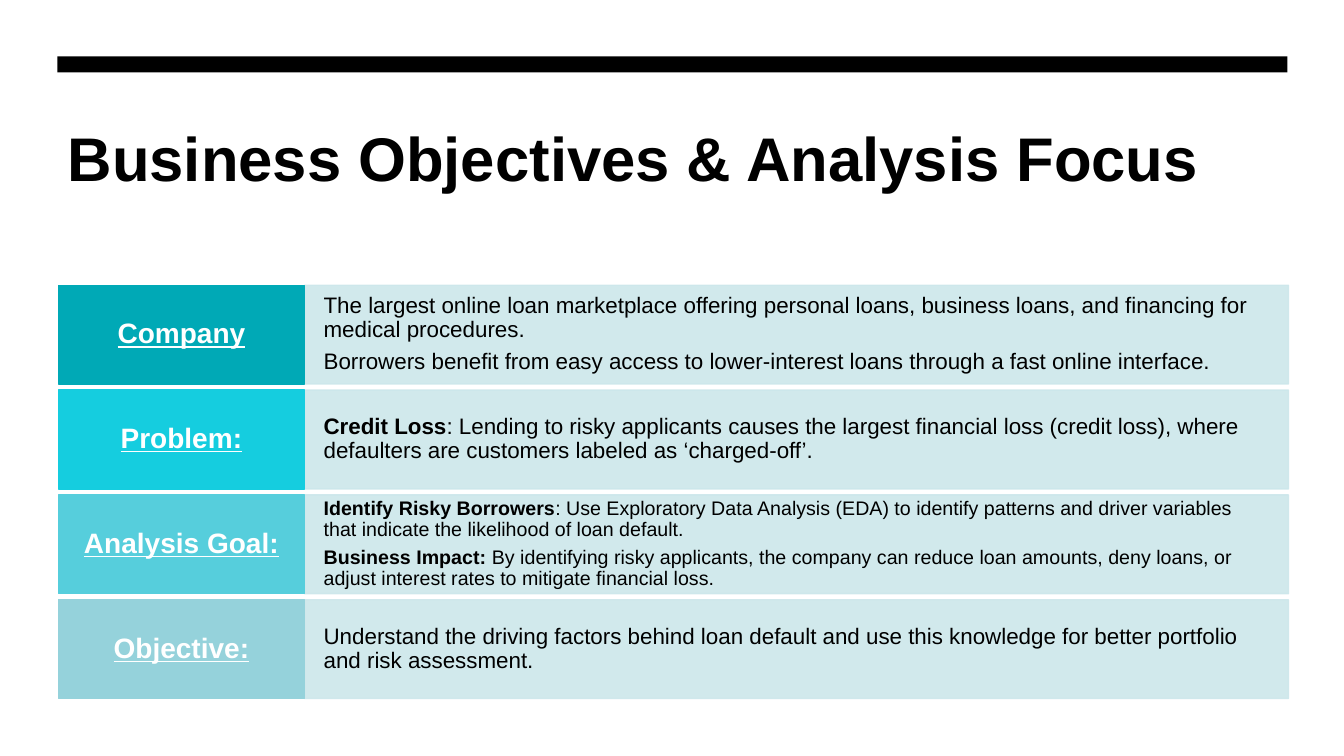
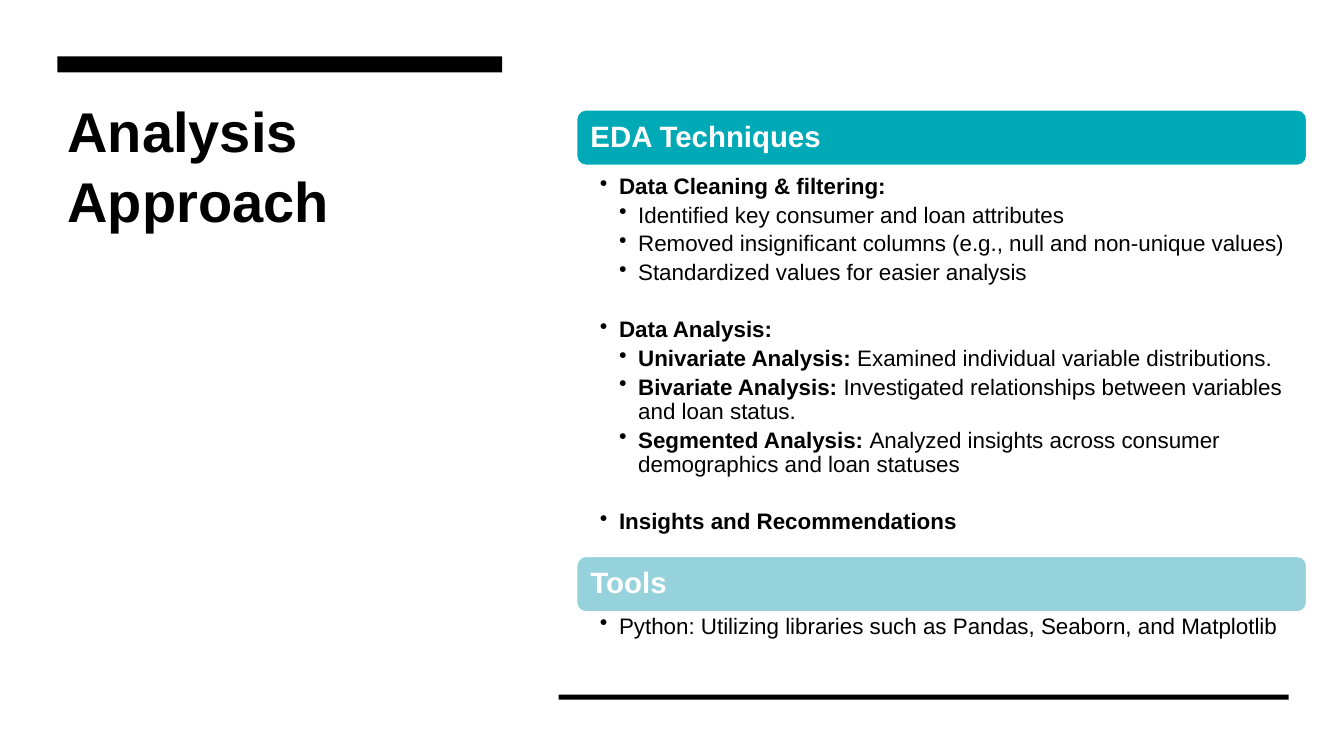
from pptx import Presentation
from pptx.dml.color import RGBColor
from pptx.enum.shapes import MSO_SHAPE
from pptx.enum.text import MSO_ANCHOR, MSO_AUTO_SIZE, PP_ALIGN
from pptx.oxml.ns import qn
from pptx.util import Inches, Pt
from lxml import etree

RECT = MSO_SHAPE.RECTANGLE
ROUND = MSO_SHAPE.ROUNDED_RECTANGLE
TOP = MSO_ANCHOR.TOP
MIDDLE = MSO_ANCHOR.MIDDLE
LEFT = PP_ALIGN.LEFT
CENTER = PP_ALIGN.CENTER
NO_FIT = MSO_AUTO_SIZE.NONE

BLACK = RGBColor(0x00, 0x00, 0x00)
WHITE = RGBColor(0xFF, 0xFF, 0xFF)
TEAL = RGBColor(0x00, 0xA9, 0xB6)
CYAN = RGBColor(0x15, 0xCD, 0xDF)
AQUA = RGBColor(0x56, 0xCE, 0xDC)
MIST = RGBColor(0x95, 0xD2, 0xDB)
PALE = RGBColor(0xCC, 0xE7, 0xEB)

FONT = "Arial"
EDGE = 0.57
INDENT = 0.19


def write(frame, text, size=16, color=BLACK, bold=False, line=False,
          align=LEFT, pitch=0.9, after=0.35, before=0, level=0):
    para = frame.add_paragraph() if frame.text else frame.paragraphs[0]
    para.alignment = align
    para.line_spacing = pitch
    para.space_before = Pt(before)
    para.space_after = Pt(round(size * after, 1))
    for i, part in enumerate(text.split("**")):
        if part:
            run = para.add_run()
            run.text = part
            font = run.font
            font.name, font.size, font.color.rgb = FONT, Pt(size), color
            font.bold = bold or i % 2 == 1
            font.underline = line
    if level:
        props = para._p.get_or_add_pPr()
        props.set("marL", str(Inches(INDENT * level)))
        props.set("indent", str(-Inches(INDENT)))
        props.set("lvl", str(level))
        etree.SubElement(props, qn("a:buChar")).set("char", "•")


class Deck:
    def __init__(self):
        self.file = Presentation()
        self.file.slide_width = Inches(13.33)
        self.file.slide_height = Inches(7.5)
        self.slide = None

    def start(self, title, box, size, width):
        self.slide = self.file.slides.add_slide(self.file.slide_layouts[5])
        shape = self.slide.shapes.title
        shape.left, shape.top, shape.width, shape.height = map(Inches, box)
        frame = self.frame(shape, (0.1, 0.08, 0.1, 0.05), TOP)
        write(frame, title, size, bold=True, pitch=1.05, after=0)
        self.block((EDGE, 0.56, width, 0.16), BLACK)

    def frame(self, shape, pads, anchor):
        frame = shape.text_frame
        frame.word_wrap = True
        frame.auto_size = NO_FIT
        frame.vertical_anchor = anchor
        (frame.margin_left, frame.margin_top,
         frame.margin_right, frame.margin_bottom) = map(Inches, pads)
        return frame

    def block(self, box, fill, edge=None, kind=RECT, alpha=None, pad=0.1):
        shape = self.slide.shapes.add_shape(kind, *map(Inches, box))
        shape.shadow.inherit = False
        shape.fill.solid()
        shape.fill.fore_color.rgb = fill
        if edge is None:
            shape.line.fill.background()
        else:
            shape.line.color.rgb = edge
            shape.line.width = Pt(1)
        if alpha:
            for node in shape._element.spPr.iter(qn("a:srgbClr")):
                etree.SubElement(node, qn("a:alpha")).set("val", str(alpha * 1000))
        return self.frame(shape, (pad, 0, pad, 0), MIDDLE)

    def row(self, top, label, fill, size, texts):
        body = self.block((3.02, top, 9.76, 0.98), PALE, PALE, alpha=90, pad=0.19)
        for text in texts:
            write(body, text, size)
        head = self.block((0.58, top, 2.44, 0.98), fill, fill, pad=0.13)
        write(head, label, 20, WHITE, bold=True, line=True, align=CENTER)

    def header(self, top, text, fill):
        frame = self.block((5.72, top, 7.24, 0.55), fill, WHITE, ROUND, pad=0.11)
        write(frame, text, 21, WHITE, bold=True)

    def bullets(self, top, height, items):
        box = self.slide.shapes.add_textbox(*map(Inches, (5.72, top, 7.24, height)))
        frame = self.frame(box, (0.23, 0.03, 0.16, 0.03), TOP)
        for i, (level, text) in enumerate(items):
            gap = 20.5 if i and level == 1 else 0
            write(frame, text, after=0.2, before=gap, level=level)


ROWS = [
    ("Company", TEAL, 16, [
        "The largest online loan marketplace offering personal loans, business loans, "
        "and financing for medical procedures.",
        "Borrowers benefit from easy access to lower-interest loans through a fast "
        "online interface."]),
    ("Problem:", CYAN, 16, [
        "**Credit Loss**: Lending to risky applicants causes the largest financial loss "
        "(credit loss), where defaulters are customers labeled as ‘charged-off’."]),
    ("Analysis Goal:", AQUA, 14, [
        "**Identify Risky Borrowers**: Use Exploratory Data Analysis (EDA) to identify "
        "patterns and driver variables that indicate the likelihood of loan default.",
        "**Business Impact: **By identifying risky applicants, the company can reduce "
        "loan amounts, deny loans, or adjust interest rates to mitigate financial loss."]),
    ("Objective:", MIST, 16, [
        "Understand the driving factors behind loan default and use this knowledge for "
        "better portfolio and risk assessment."]),
]

STEPS = [
    (1, "**Data Cleaning & filtering:**"),
    (2, "Identified key consumer and loan attributes"),
    (2, "Removed insignificant columns (e.g., null and non-unique values)"),
    (2, "Standardized values for easier analysis"),
    (1, "**Data Analysis:**"),
    (2, "**Univariate Analysis: **Examined individual variable distributions."),
    (2, "**Bivariate Analysis: **Investigated relationships between variables "
        "and loan status."),
    (2, "**Segmented Analysis: **Analyzed insights across consumer demographics "
        "and loan statuses"),
    (1, "**Insights and Recommendations**"),
]

TOOLS = [(1, "Python: Utilizing libraries such as Pandas, Seaborn, and Matplotlib")]


def main():
    deck = Deck()
    deck.start("Business Objectives & Analysis Focus", (EDGE, 1.07, 12.2, 1.6), 44, 12.2)
    for i, row in enumerate(ROWS):
        deck.row(2.83 + 1.04 * i, *row)

    deck.start("Analysis Approach", (EDGE, 0.84, 5.11, 1.49), 40, 4.41)
    deck.block((5.54, 6.89, 7.24, 0.05), BLACK)
    deck.header(1.09, "EDA Techniques", TEAL)
    deck.bullets(1.71, 3.8, STEPS)
    deck.header(5.52, "Tools", MIST)
    deck.bullets(6.07, 0.38, TOOLS)
    deck.file.save("out.pptx")


if __name__ == "__main__":
    main()
